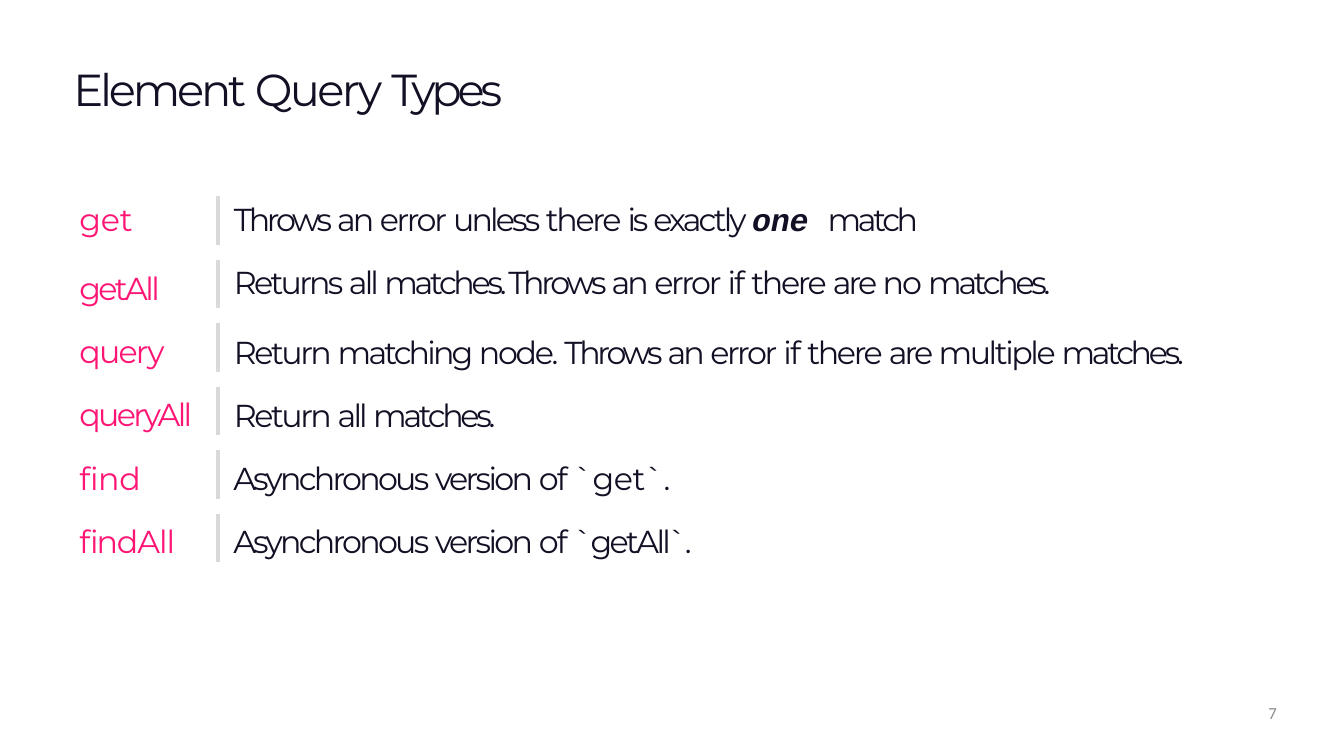
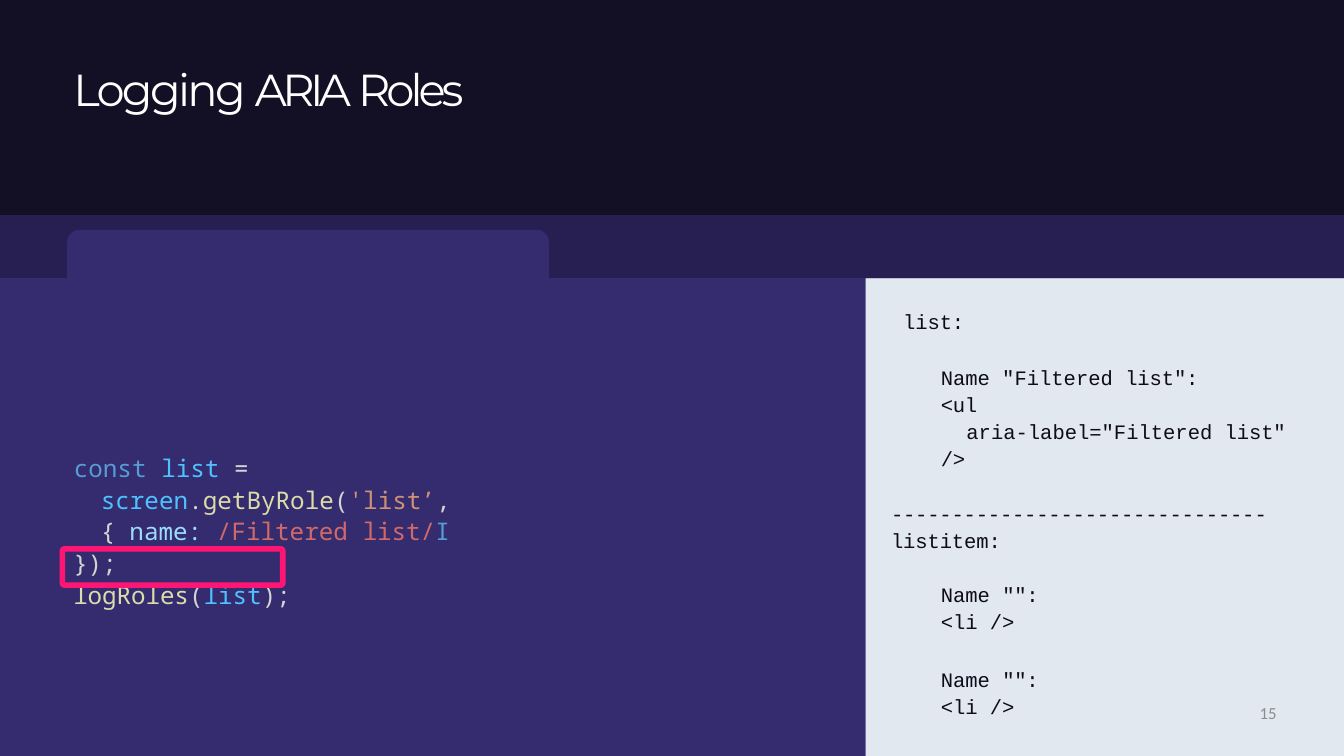
from dataclasses import dataclass
from math import cos, pi, sin

from lxml.etree import SubElement
from pptx import Presentation
from pptx.dml.color import RGBColor
from pptx.enum.shapes import MSO_CONNECTOR as CONN, MSO_SHAPE as SHAPE
from pptx.enum.text import MSO_ANCHOR as ANCHOR, MSO_AUTO_SIZE as FIT, PP_ALIGN as ALIGN
from pptx.oxml.ns import qn
from pptx.util import Cm, Pt

WIDTH, HEIGHT = 50.8, 28.58
SANS, MONO, CODE, SMALL = "Montserrat", "Courier New", "Noto Sans Mono", "Calibri"
WHITE, INK, PINK, GREY, RULE = "FFFFFF", "130F24", "FF1675", "8C8C8C", "D9D9D9"
PURPLE, PALE, OUTPUT = "352B6F", "E2E8F0", "0E0B1B"
# Syntax colours
KEYWORD, VARIABLE, PLAIN, FUNCTION = "569CD6", "4FC1FF", "D4D4D4", "DCDCAA"
STRING, PROPERTY, REGEX = "CE9178", "9CDCFE", "D16969"


def rgb(value):
    return RGBColor.from_string(value)


@dataclass
class Run:
    text: str
    spacing: float = 0
    color: str = ""
    font: str = ""
    strong: bool = False


@dataclass
class Par:
    runs: list
    before: float = 0
    line: float = 0
    left: float = 0
    first: float = 0
    align: ALIGN = ALIGN.LEFT


class Deck:
    def __init__(self):
        self.prs = Presentation()
        self.prs.slide_width, self.prs.slide_height = Cm(WIDTH), Cm(HEIGHT)
        self.s = None

    def slide(self, layout):
        self.s = self.prs.slides.add_slide(self.prs.slide_layouts[layout])

    def fill_text(self, sp, pars, size, color, font, top=0.03):
        tf = sp.text_frame
        tf.word_wrap, tf.auto_size, tf.vertical_anchor = True, FIT.NONE, ANCHOR.TOP
        tf.margin_left = tf.margin_right = tf.margin_bottom = 0
        tf.margin_top = Cm(top)
        for i, par in enumerate(pars):
            p = tf.paragraphs[0] if i == 0 else tf.add_paragraph()
            pPr = p._p.get_or_add_pPr()
            pPr.set("marL", str(Cm(par.left)))
            pPr.set("indent", str(Cm(par.first)))
            p.alignment = par.align
            p.line_spacing = Pt(par.line) if par.line > 2 else par.line or 1.0
            p.space_before, p.space_after = Pt(par.before), Pt(0)
            SubElement(pPr, qn("a:buNone"))
            for run in par.runs:
                if run.text == "\n":
                    p.add_line_break()
                    continue
                r = p.add_run()
                r.text = run.text
                r.font.size, r.font.name = Pt(size), run.font or font
                r.font.color.rgb = rgb(run.color or color)
                r.font.bold = r.font.italic = run.strong
                r._r.get_or_add_rPr().set("spc", str(round(run.spacing * 100)))

    def place(self, sp, box):
        sp.left, sp.top, sp.width, sp.height = map(Cm, box)
        self.s.shapes._spTree.append(sp._element)  # bring to front

    def title(self, runs, color=INK):
        sp = self.s.shapes.title
        self.place(sp, (2.77, 2.29, 27.25, 2.11))
        self.fill_text(sp, [Par(runs)], 48, color, SANS, 0.06)

    def body(self, box, pars):
        sp = self.s.placeholders[1]
        self.place(sp, box)
        self.fill_text(sp, pars, 34, INK, SANS, 0.06)

    def text(self, box, pars, size, color, font, top=0.06):
        sp = self.s.shapes.add_textbox(*map(Cm, box))
        self.fill_text(sp, pars, size, color, font, top)

    def output(self, box, pars, top=0.25):
        self.text(box, pars, 22, OUTPUT, MONO, top)

    def number(self, value):
        self.text((36.58, 26.57, 11.68, 1.42), [Par([Run(value)], align=ALIGN.RIGHT)],
                  18, GREY, SMALL, 0)

    def paint(self, sp, color, alpha=100):
        sp.shadow.inherit = False
        sp.line.fill.background()
        sp.fill.solid()
        sp.fill.fore_color.rgb = rgb(color)
        if alpha < 100:
            clr = sp._element.spPr.find(qn("a:solidFill")).find(qn("a:srgbClr"))
            SubElement(clr, qn("a:alpha"), val=str(alpha * 1000))

    def rect(self, box, color, alpha=100):
        self.paint(self.s.shapes.add_shape(SHAPE.RECTANGLE, *map(Cm, box)), color, alpha)

    def outline(self, points, color):
        pts = [(Cm(x), Cm(y)) for x, y in points]
        fb = self.s.shapes.build_freeform(*pts[0])
        fb.add_line_segments(pts[1:], close=True)
        self.paint(fb.convert_to_shape(), color)

    def frame(self, box, color, width):
        sp = self.s.shapes.add_shape(SHAPE.ROUNDED_RECTANGLE, *map(Cm, box))
        sp.adjustments[0] = 0.06
        sp.shadow.inherit = False
        sp.fill.background()
        sp.line.color.rgb, sp.line.width = rgb(color), Pt(width)

    def bar(self, x, y, height):
        c = self.s.shapes.add_connector(CONN.STRAIGHT, Cm(x), Cm(y), Cm(x), Cm(y + height))
        c.line.color.rgb, c.line.width = rgb(RULE), Pt(4.5)
        SubElement(c._element.spPr, qn("a:effectLst"))


def query_types(d):
    d.slide(1)
    d.title([Run("Element ", -3.4), Run("Query ", -2.8), Run("Types", -4.5)])

    # Query names
    step = 67.9
    names = [("get", -0.2), ("getAll", -2.8), ("query", -1.9),
             ("queryAll", -2.8), ("find", -0.2), ("findAll", -1.1)]
    pars = [Par([Run(*name)], line=step if i else 0) for i, name in enumerate(names)]
    pars[1].before = 5.8
    d.text((3, 7.49, 4.78, 13.46), pars, 34, PINK, SANS)

    # Descriptions
    error = [Run("Throws ", -3.5), Run("an ", -3.1), Run("error ", -2.5)]
    if_there_are = [Run("if ", -2), Run("there ", -2.5), Run("are ", -3.1)]
    all_, matches = Run("all ", -3.1), Run("matches.", -3.5)
    version = [Run("Asynchronous ", -2.9), Run("version ", -2.8), Run("of ", -1.9)]
    d.body((8.79, 7.49, 39.29, 13.46), [
        Par(error + [Run("unless ", -3), Run("there ", -2.5), Run("is ", -3.5),
                     Run("exactly ", -3.1), Run("one ", -0.2, font=MONO, strong=True),
                     Run("match", -3.5)], left=0.05),
        Par([Run("Returns ", -2.9), all_, Run("matches. ", -3.5)] + error + if_there_are
            + [Run("no ", -2.2), matches], before=27.1, left=0.05),
        Par([Run("Return ", -2.6), Run("matching ", -3), Run("node. ", -2.5)] + error
            + if_there_are + [Run("multiple ", -2.6), matches],
            before=6.3, line=step, left=0.05),
        Par([Run("Return ", -2.6), all_, matches], line=step, left=0.05),
        Par(version + [Run("`get`.", -0.5)], line=67.4, left=0.03),
        Par(version + [Run("`getAll`.", -2.8)], line=67.4, left=0.03),
    ])

    # Dividers, one per query
    for i in range(len(names)):
        d.bar(8.23, 7.42 + 2.4 * i, 1.84)
    d.number("7")


def logging_roles(d):
    d.slide(5)

    # Header, tab strip and panels
    split, top = 32.72, 10.52
    d.rect((split, top, WIDTH - split, HEIGHT - top), PALE)
    d.rect((0, 0, WIDTH, top), INK)
    d.rect((0, 8.13, WIDTH, top - 8.13), PURPLE, 60)
    tab_left, tab_right, tab_top, radius = 2.54, 20.75, 8.69, 0.46
    turns = [pi / 2 * i / 6 for i in range(7)]
    corner_y = tab_top + radius
    left_arc = [(tab_left + radius - radius * cos(t), corner_y - radius * sin(t))
                for t in turns]
    right_arc = [(tab_right - radius + radius * sin(t), corner_y - radius * cos(t))
                 for t in turns]
    d.outline([(0, HEIGHT), (0, top), (tab_left, top), *left_arc, *right_arc,
               (tab_right, top), (split, top), (split, HEIGHT)], PURPLE)

    # Logged output
    d.output((34.14, 11.61, 2.41, 0.99), [Par([Run("list:", -0.1)])], 0.06)
    d.output((35.56, 13.56, 13.16, 4.17), [
        Par([Run('Name "Filtered '), Run('list":', -0.1)]),
        Par([Run("<ul", -0.2)], 2.6),
        Par([Run("aria-"), Run('label="Filtered '), Run('list"', -0.1)], 2.6, left=0.97),
        Par([Run("/>", -0.2)], 2.4),
    ])
    d.output((33.68, 18.69, 14.55, 2.11), [
        Par([Run("-" * 30, -0.2), Run("-", -0.5)]),
        Par([Run("listitem:", -0.1)], 2.6),
    ])
    name, item = [Run("Name "), Run('"":', -0.2)], [Run("<li "), Run("/>", -0.2)]
    d.output((35.56, 21.77, 3.81, 5.18),
             [Par(name), Par(item, 2.4), Par(name, 35), Par(item, 2.6)])

    d.title([Run("Logging ", -2.9), Run("ARIA ", -5), Run("Roles", -4.3)], WHITE)

    # Code
    d.text((2.77, 16.97, 19.69, 4.9), [
        Par([Run("const ", color=KEYWORD), Run("list ", color=VARIABLE), Run("="), Run("\n"),
             Run("screen", color=VARIABLE), Run("."), Run("getByRole", color=FUNCTION),
             Run("("), Run("'list’", color=STRING), Run(","), Run("\n"),
             Run("{ ", -0.5), Run("name: ", color=PROPERTY), Run("/Filtered ", color=REGEX),
             Run("list/", -0.1, REGEX), Run("I", -0.1, KEYWORD)],
            line=1.09, left=1.04, first=-1.02),
        Par([Run("});", -0.2)], 2.6),
        Par([Run("logRoles", -0.1, FUNCTION), Run("(", -0.1),
             Run("list", -0.1, VARIABLE), Run(");", -0.1)], 3.8),
    ], 26, PLAIN, CODE)
    d.frame((2.36, 20.75, 8.33, 1.37), PINK, 6)
    d.number("15")


def main():
    d = Deck()
    query_types(d)
    logging_roles(d)
    d.prs.save("out.pptx")


if __name__ == "__main__":
    main()
